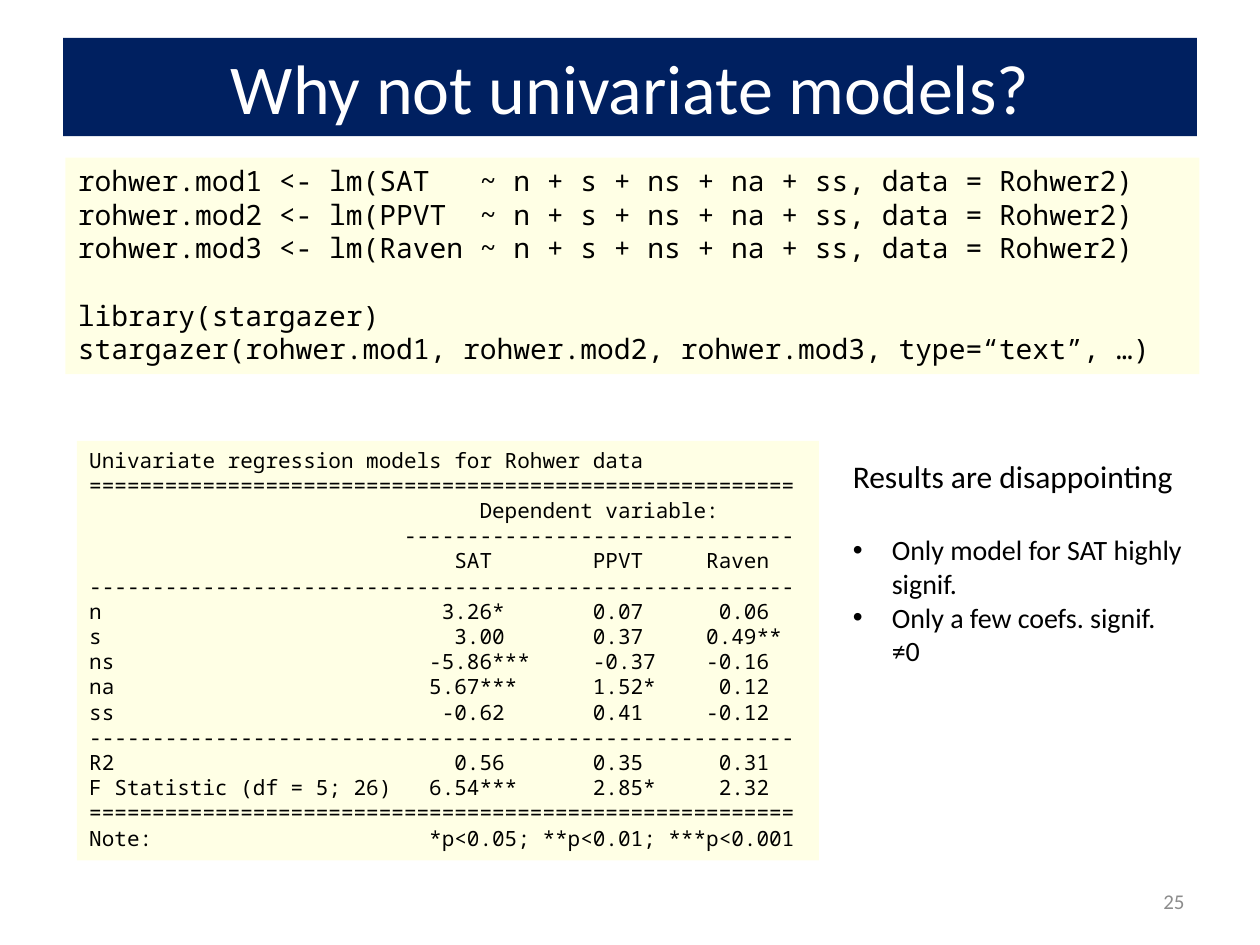
from dataclasses import dataclass

from lxml import etree
from pptx import Presentation
from pptx import util as u
from pptx.dml.color import RGBColor
from pptx.enum import shapes, text
from pptx.oxml.ns import qn


@dataclass(frozen=True)
class Theme:
    sans: str = "Calibri"
    mono: str = "Noto Sans Mono"
    navy: str = "002060"
    white: str = "FFFFFF"
    black: str = "000000"
    grey: str = "8C8C8C"
    yellow: str = "FFFF00"
    panel_opacity: int = 10
    title: int = 40
    lead: int = 18
    body: int = 16
    small: int = 12


THEME = Theme()
WIDTH, HEIGHT = 10, 7.5
MARGIN = 0.5

TITLE = "Why not univariate models?"
PAGE = "25"
MODEL_CODE = [
    "rohwer.mod1 <- lm(SAT   ~ n + s + ns + na + ss, data = Rohwer2)",
    "rohwer.mod2 <- lm(PPVT  ~ n + s + ns + na + ss, data = Rohwer2)",
    "rohwer.mod3 <- lm(Raven ~ n + s + ns + na + ss, data = Rohwer2)",
]
TABLE_CODE = [
    "library(stargazer)",
    "stargazer(rohwer.mod1, rohwer.mod2, rohwer.mod3, type=“text”, …)",
]
DOUBLE_RULE, RULE = "=" * 56, "-" * 56
REGRESSION_OUTPUT = [
    "Univariate regression models for Rohwer data",
    DOUBLE_RULE,
    "                               Dependent variable:",
    ("-" * 31).rjust(56),
    "                             SAT        PPVT     Raven",
    RULE,
    "n                           3.26*       0.07      0.06",
    "s                            3.00       0.37     0.49**",
    "ns                         -5.86***     -0.37    -0.16",
    "na                         5.67***      1.52*     0.12",
    "ss                          -0.62       0.41     -0.12",
    RULE,
    "R2                           0.56       0.35      0.31",
    "F Statistic (df = 5; 26)   6.54***      2.85*     2.32",
    DOUBLE_RULE,
    "Note:                      *p<0.05; **p<0.01; ***p<0.001",
]
VERDICT = "Results are disappointing"
FINDINGS = ["Only model for SAT highly signif.", "Only a few coefs. signif. ≠0"]


def inches(*lengths):
    return [u.Inches(length) for length in lengths]


def write(frame, lines, size, font=THEME.sans, color=THEME.black,
          align=text.PP_ALIGN.LEFT, gap=0, bullet=False):
    """Append lines to a frame, with gap points before the first of them."""
    for i, line in enumerate(lines):
        first = frame.paragraphs[0]
        para = frame.add_paragraph() if first.runs else first
        para.alignment = align
        if gap and i == 0:
            para.space_before = u.Pt(gap)
        if bullet:
            props = para._p.get_or_add_pPr()
            indent = u.Inches(0.31)
            props.set("marL", str(indent))
            props.set("indent", str(-indent))
            etree.SubElement(props, qn("a:buFont"), typeface="Arial")
            etree.SubElement(props, qn("a:buChar"), char="•")
        run = para.add_run()
        run.text = line
        run.font.name = font
        run.font.size = u.Pt(size)
        run.font.color.rgb = RGBColor.from_string(color)


def fill(shape, color, opacity=100):
    shape.fill.solid()
    shape.fill.fore_color.rgb = RGBColor.from_string(color)
    if opacity < 100:
        rgb = shape.fill._xPr.find(".//" + qn("a:srgbClr"))
        etree.SubElement(rgb, qn("a:alpha"), val=str(opacity * 1000))


def add_code_panel(slide, *box):
    panel = slide.shapes.add_shape(shapes.MSO_SHAPE.RECTANGLE, *inches(*box))
    panel.shadow.inherit = False
    panel.line.fill.background()
    fill(panel, THEME.yellow, THEME.panel_opacity)
    panel.text_frame.word_wrap = True
    panel.text_frame.vertical_anchor = text.MSO_ANCHOR.TOP
    return panel.text_frame


def add_text_box(slide, *box):
    frame = slide.shapes.add_textbox(*inches(*box)).text_frame
    frame.word_wrap = True
    return frame


def main():
    deck = Presentation()
    deck.slide_width, deck.slide_height = inches(WIDTH, HEIGHT)
    slide = deck.slides.add_slide(deck.slide_layouts[5])
    content_width = WIDTH - 2 * MARGIN

    title = slide.shapes.title
    title.left, title.top, title.width, title.height = inches(
        MARGIN, 0.3, content_width, 0.78)
    fill(title, THEME.navy)
    title.text_frame.vertical_anchor = text.MSO_ANCHOR.MIDDLE
    write(title.text_frame, [TITLE], THEME.title, color=THEME.white,
          align=text.PP_ALIGN.CENTER)

    page = add_text_box(slide, WIDTH - MARGIN - 2.33, 6.95, 2.33, 0.4)
    page.vertical_anchor = text.MSO_ANCHOR.MIDDLE
    write(page, [PAGE], THEME.small, color=THEME.grey,
          align=text.PP_ALIGN.RIGHT)

    code = add_code_panel(slide, 0.52, 1.25, content_width, 1.72)
    write(code, MODEL_CODE, THEME.body, THEME.mono)
    write(code, TABLE_CODE, THEME.body, THEME.mono, gap=1.2 * THEME.body)

    output = add_code_panel(slide, 0.61, 3.5, 5.89, 3.33)
    write(output, REGRESSION_OUTPUT, THEME.small, THEME.mono)

    verdict = add_text_box(slide, 6.67, 3.58, 2.86, 1.78)
    write(verdict, [VERDICT], THEME.lead)
    write(verdict, FINDINGS, THEME.body, gap=1.2 * THEME.lead, bullet=True)

    deck.save("out.pptx")


if __name__ == "__main__":
    main()
